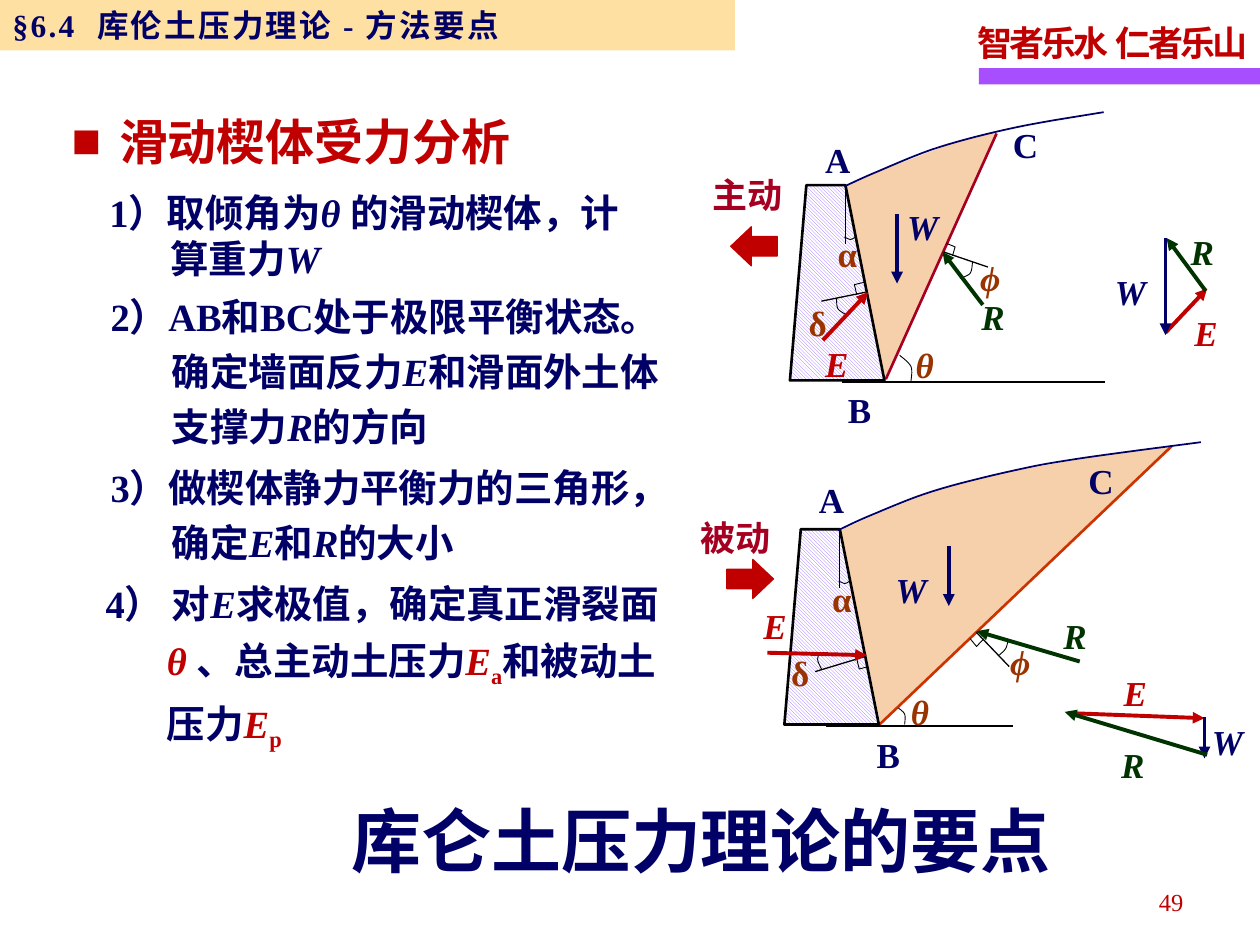
from lxml.etree import SubElement as Sub
from pptx import Presentation
from pptx.dml.color import RGBColor as RGB
from pptx.enum.dml import MSO_PATTERN as PAT
from pptx.enum.shapes import MSO_CONNECTOR as CON, MSO_SHAPE as SHP
from pptx.enum.text import MSO_ANCHOR as ANC, MSO_AUTO_SIZE as FIT, PP_ALIGN as AL
from pptx.oxml.ns import qn
from pptx.util import Pt

NAVY = RGB(0x00, 0x00, 0x66)
RED = RGB(0xC0, 0x00, 0x00)
WINE = RGB(0xA5, 0x00, 0x21)
RUST = RGB(0xCC, 0x33, 0x00)
BROWN = RGB(0x99, 0x33, 0x00)
GREEN = RGB(0x00, 0x33, 0x00)
BLACK = RGB(0x00, 0x00, 0x00)
WHITE = RGB(0xFF, 0xFF, 0xFF)
SAND = RGB(0xF5, 0xD0, 0xAB)
GOLD = RGB(0xFF, 0xCC, 0x66)
LILAC = RGB(0x99, 0x66, 0xFF)
PURPLE = RGB(0xA7, 0x4F, 0xFF)
ROMAN = "Times New Roman"
HAN = "Noto Sans CJK SC"


def style(para, size, color, bold=True, italic=None, face=ROMAN):
    """Set the font that all runs of a paragraph share."""
    font = para.font
    font.name, font.size, font.bold, font.italic = face, Pt(size), bold, italic
    font.color.rgb = color
    latin = para._p.pPr.find(qn("a:defRPr")).find(qn("a:latin"))
    east = latin.makeelement(qn("a:ea"), {"typeface": HAN})
    latin.addnext(east)


def track(para, gap):
    """Set letter spacing, in points, on every run."""
    for run in para.runs:
        run._r.get_or_add_rPr().set("spc", str(round(gap * 100)))


def hang(para, size):
    """Give a paragraph a hanging indent."""
    props = para._p.get_or_add_pPr()
    props.set("marL", str(Pt(size)))
    props.set("indent", str(-Pt(size)))
    return props


def place(shape, x, y, w, h):
    """Move and size a shape."""
    shape.left, shape.top, shape.width, shape.height = Pt(x), Pt(y), Pt(w), Pt(h)


def box(slide, x, y, w, h, wrap=True):
    """Add a text box and return its first paragraph."""
    frame = slide.shapes.add_textbox(Pt(x), Pt(y), Pt(w), Pt(h)).text_frame
    frame.word_wrap = wrap
    return frame.paragraphs[0]


def label(slide, text, color, x, y, w=34, italic=False):
    """Add a short caption to a figure."""
    para = box(slide, x, y, w, 33)
    para.text = text
    para.line_spacing = 1.15
    style(para, 20, color, italic=italic)


def line(slide, color, width, x1, y1, x2, y2, arrow=False):
    """Draw a straight line, with an arrowhead at its end if asked."""
    link = slide.shapes.add_connector(CON.STRAIGHT, Pt(x1), Pt(y1), Pt(x2), Pt(y2))
    link.line.color.rgb, link.line.width = color, Pt(width)
    if arrow:
        Sub(link.line._get_or_add_ln(), qn("a:tailEnd"), type="triangle")
    Sub(link._element.spPr, qn("a:effectLst"))


def outline(slide, dots, closed=False, color=BLACK, width=0.5):
    """Draw a freeform through points; no colour means no line."""
    first, *rest = [(Pt(x), Pt(y)) for x, y in dots]
    pen = slide.shapes.build_freeform(*first)
    pen.add_line_segments(rest, close=closed)
    shape = pen.convert_to_shape()
    shape.shadow.inherit = False
    shape.fill.background()
    if color is None:
        shape.line.fill.background()
    else:
        shape.line.color.rgb, shape.line.width = color, Pt(width)
    return shape


def curve(slide, knots, color=BLACK, width=0.5, steps=8):
    """Draw a smooth open line through knots."""
    ring = [knots[0], *knots, knots[-1]]
    dots = [knots[0]]
    for a, b, c, d in zip(ring, ring[1:], ring[2:], ring[3:]):
        for t in (n / steps for n in range(1, steps + 1)):
            dots.append(tuple(
                q + t * (r - p + t * (2 * p - 5 * q + 4 * r - s + t * (3 * q - p - 3 * r + s))) / 2
                for p, q, r, s in zip(a, b, c, d)))
    outline(slide, dots, color=color, width=width)


def wedge(slide, dots):
    """Fill the sliding soil wedge."""
    shape = outline(slide, dots, True, None)
    shape.fill.solid()
    shape.fill.fore_color.rgb = SAND


def wall(slide, dx, dy):
    """Draw the hatched wall with its angle of tilt."""
    dots = [(505.4, 217.4), (483.1, 105.8), (460.8, 105.8), (451.4, 217.4)]
    fill = outline(slide, [(x + dx, y + dy) for x, y in dots], True, width=1.5).fill
    fill.patterned()
    fill.pattern = PAT.LIGHT_DOWNWARD_DIAGONAL
    fill.fore_color.rgb, fill.back_color.rgb = LILAC, WHITE
    line(slide, BLACK, 0.75, 483.1 + dx, 105.8 + dy, 483.1 + dx, 139.7 + dy)
    curve(slide, [(x + dx, y + dy) for x, y in ((482.4, 135.4), (486, 136.8), (488.9, 135.4))])
    label(slide, "α", BROWN, 471.6 + dx, 126 + dy, 24)


def block(slide, kind, color, x, y, w, h):
    """Add a plain filled preset shape."""
    shape = slide.shapes.add_shape(kind, Pt(x), Pt(y), Pt(w), Pt(h))
    shape.shadow.inherit = False
    shape.fill.solid()
    shape.fill.fore_color.rgb = color
    shape.line.fill.background()
    return shape


def push(slide, kind, x, y):
    """Add the block arrow that shows how the wall moves."""
    shape = block(slide, kind, RED, x, y, 26.6, 22.3)
    shape.adjustments[1] = 0.528
    shape.line.color.rgb, shape.line.width = RED, Pt(0.75)


def heads(slide):
    """Fill the title strip, the motto and the topic."""
    title, body = slide.placeholders
    place(title, 0, 0, 420, 28.8)
    title.fill.solid()
    title.fill.fore_color.rgb = GOLD
    Sub(title._element.spPr.find(".//" + qn("a:srgbClr")), qn("a:alpha"), val="60000")
    title.text_frame.text = "§6.4  库伦土压力理论 - 方法要点"
    title.text_frame.vertical_anchor = ANC.MIDDLE
    para = title.text_frame.paragraphs[0]
    para.alignment = AL.LEFT
    style(para, 18, NAVY)
    track(para, 1.3)

    place(body, 33.8, 43.2, 269.3, 49.7)
    body.text_frame.text = "滑动楔体受力分析"
    para = body.text_frame.paragraphs[0]
    para.line_spacing, para.space_before = 1.5, Pt(0)
    props = hang(para, 27)
    Sub(Sub(props, qn("a:buClr")), qn("a:srgbClr"), val=str(RED))
    Sub(props, qn("a:buChar"), char="■")
    style(para, 28, RED, face=HAN)
    for shape in (title, body):
        shape.text_frame.auto_size = FIT.NONE

    block(slide, SHP.RECTANGLE, PURPLE, 559.4, 38.9, 160.6, 9.4)
    para = box(slide, 551.5, 5, 170, 35.3, False)
    para.text = "智者乐水  仁者乐山"
    para.line_spacing = 1.15
    style(para, 20, RED)
    track(para, -1.7)


def point(slide, x, y, w, h, space, runs):
    """Add a numbered point; run marks: i italic, r red, s subscript."""
    para = box(slide, x, y, w, h)
    para.line_spacing = space
    hang(para, 35)
    style(para, 22, NAVY)
    for text, marks in runs:
        run = para.add_run()
        run.text = text
        if "i" in marks:
            run.font.italic = True
        if "r" in marks:
            run.font.color.rgb = RED
        if "s" in marks:
            run._r.get_or_add_rPr().set("baseline", "-25000")


def points(slide):
    """Add the four points, the closing line and the page number."""
    point(slide, 55.4, 104.4, 323.3, 60.5, 1.0, [
        ("1）取倾角为", ""), ("θ ", "i"), ("的滑动楔体，计算重力", ""), ("W", "i")])
    point(slide, 56.2, 158.4, 340.6, 103, 1.2, [
        ("2）AB和BC处于极限平衡状态。确定墙面反力", ""), ("E", "i"),
        ("和滑面外土体支撑力", ""), ("R", "i"), ("的方向", "")])
    point(slide, 56.2, 256.3, 340.6, 68.4, 1.2, [
        ("3）做楔体静力平衡力的三角形，确定", ""), ("E", "i"), ("和", ""),
        ("R", "i"), ("的大小", "")])
    point(slide, 53.3, 322.6, 340.6, 103, 1.2, [
        ("4） 对", ""), ("E", "i"), ("求极值，确定真正滑裂面", ""), ("θ ", "ir"),
        ("、总主动土压力", ""), ("E", "ir"), ("a", "rs"), ("和被动土压力", ""),
        ("E", "ir"), ("p", "rs")])
    para = box(slide, 193.7, 452.2, 421.2, 55.4)
    para.text = "库仑土压力理论的要点"
    style(para, 40, NAVY, face=HAN)
    para = box(slide, 515.5, 501.1, 167.8, 28.8)
    para.text = "49"
    para.alignment, para.line_spacing = AL.RIGHT, 1.15
    style(para, 14, RED, False)


def figures(slide):
    """Draw the active and passive wedges with their forces."""
    wedge(slide, [(483.1, 106.6), (506.2, 217.4), (569.5, 74.9), (547.2, 80.6),
                  (524.9, 89.3), (501.8, 97.9)])
    line(slide, WINE, 1.5, 506.2, 216.7, 569.5, 76.3)
    wedge(slide, [(480.2, 303.1), (503.3, 414), (669.6, 254.9), (622.1, 261.4),
                  (566.6, 271.4), (544.3, 277.2), (522, 285.1), (499, 294.5)])
    line(slide, RUST, 1.5, 502.6, 414, 669.6, 254.9)
    wall(slide, 0, 0)
    wall(slide, -3.2, 196.6)
    curve(slide, [(482.4, 106.6), (501.8, 97.9), (536.4, 84.2), (581, 72.7), (630.7, 64.1)], NAVY, 1)
    curve(slide, [(478.8, 303.1), (497.5, 294.5), (532.8, 280.8), (577.4, 269.3),
                  (616.3, 262.1), (686.2, 252.7)], NAVY, 1)
    for ends in ((481, 218.2, 631.4, 218.2), (472.3, 414.7, 578.9, 414.7)):
        line(slide, BLACK, 1, *ends)
    for ends in ((494.6, 167, 469.4, 172.1), (494.6, 375.1, 465.8, 383.8),
                 (558, 361.4, 576.7, 380.9), (539.3, 144, 564.5, 152.6)):
        line(slide, BLACK, 0.75, *ends)
    for dots in (((493.9, 161.3), (488.2, 162.7), (489.6, 168.5)),
                 ((496.1, 380.9), (491, 382.3), (489.6, 376.6)),
                 ((554.4, 365), (558, 369.4), (562.3, 365)),
                 ((540.7, 139), (545.8, 141.1), (544.3, 146.2))):
        outline(slide, dots)
    for knots in (((478.1, 170.6), (478.8, 176.4), (483.8, 180)),
                  ((469.4, 382.3), (467.3, 377.3), (468, 373.7)),
                  ((513.4, 404.6), (517, 408.2), (517, 414)),
                  ((514.1, 203), (520.6, 209.5), (520.6, 218.2)),
                  ((571, 374.4), (574.6, 370.8), (576, 366.5)),
                  ((555.8, 149.8), (554.4, 156.2), (548.6, 159.1))):
        curve(slide, knots)
    push(slide, SHP.LEFT_ARROW, 417.6, 129.6)
    push(slide, SHP.RIGHT_ARROW, 415.4, 319.7)


def forces(slide):
    """Draw the force arrows and all captions."""
    for color, *ends in (
            (RED, 470.2, 194.4, 496.1, 167), (RED, 438.5, 373, 495.4, 374.4),
            (GREEN, 617, 378, 558, 360.7), (GREEN, 561.6, 174.2, 538.6, 144),
            (NAVY, 542.2, 311.8, 542.2, 346.3), (NAVY, 512.6, 122.4, 512.6, 162),
            (RED, 666, 190.1, 689.8, 164.9), (GREEN, 689, 166.3, 666.7, 136.1),
            (NAVY, 666, 136.1, 666, 191.5), (RED, 610.6, 407.5, 688.3, 410.4),
            (NAVY, 688.3, 409.7, 688.3, 433.4), (GREEN, 689.8, 431.3, 608.4, 406.8)):
        line(slide, color, 2.25, *ends, arrow=True)
    for text, color, w, italic, spots in (
            ("A", NAVY, 34, False, ((464.4, 72), (460.8, 266.4))),
            ("B", NAVY, 34, False, ((477.4, 214.6), (493.9, 411.8))),
            ("C", NAVY, 34, False, ((571.7, 63.4), (614.9, 255.6))),
            ("δ", BROWN, 25, False, ((455, 164.9), (445, 365))),
            ("θ", BROWN, 25, True, ((516.2, 189.4), (513.4, 387.4))),
            ("ϕ", BROWN, 27, True, ((553, 139.7), (570.2, 358.6))),
            ("E", RED, 34, True, ((464.4, 188.6), (429.1, 338.4), (675.4, 170.6), (635, 376.6))),
            ("R", GREEN, 34, True, ((553.7, 162), (600.5, 344.2), (673.2, 124.6), (633.6, 417.6))),
            ("W", NAVY, 34, True, ((511.2, 110.2), (504.7, 317.5), (630, 147.6), (685.4, 404.6))),
            ("主动", WINE, 59, False, ((400.3, 92.2),)),
            ("被动", WINE, 59, False, ((393.1, 288),))):
        for x, y in spots:
            label(slide, text, color, x, y, w, italic)


def main():
    """Build and save the slide."""
    deck = Presentation()
    deck.slide_width, deck.slide_height = Pt(720), Pt(540)
    slide = deck.slides.add_slide(deck.slide_layouts[1])
    heads(slide)
    figures(slide)
    forces(slide)
    points(slide)
    deck.save("out.pptx")


if __name__ == "__main__":
    main()
